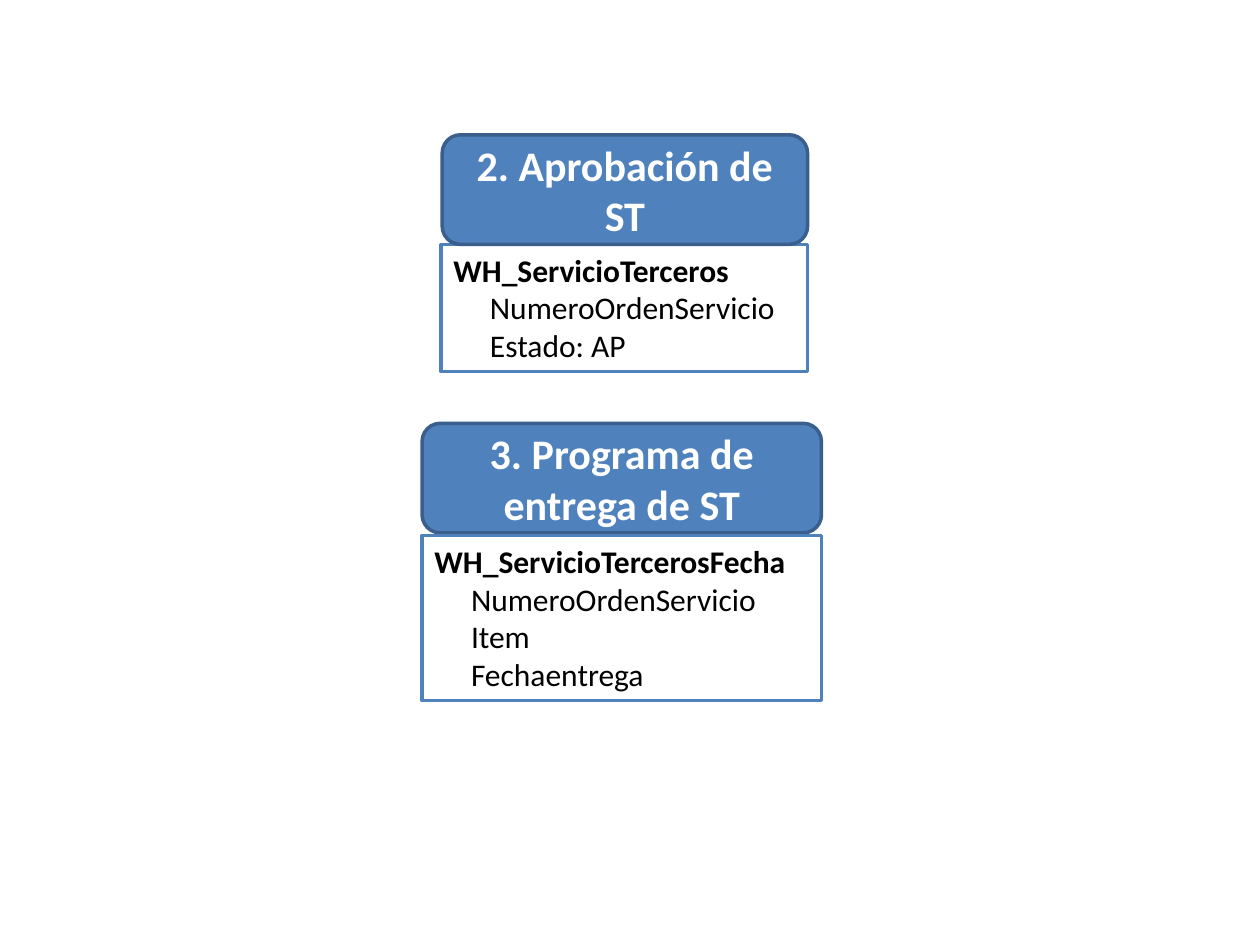
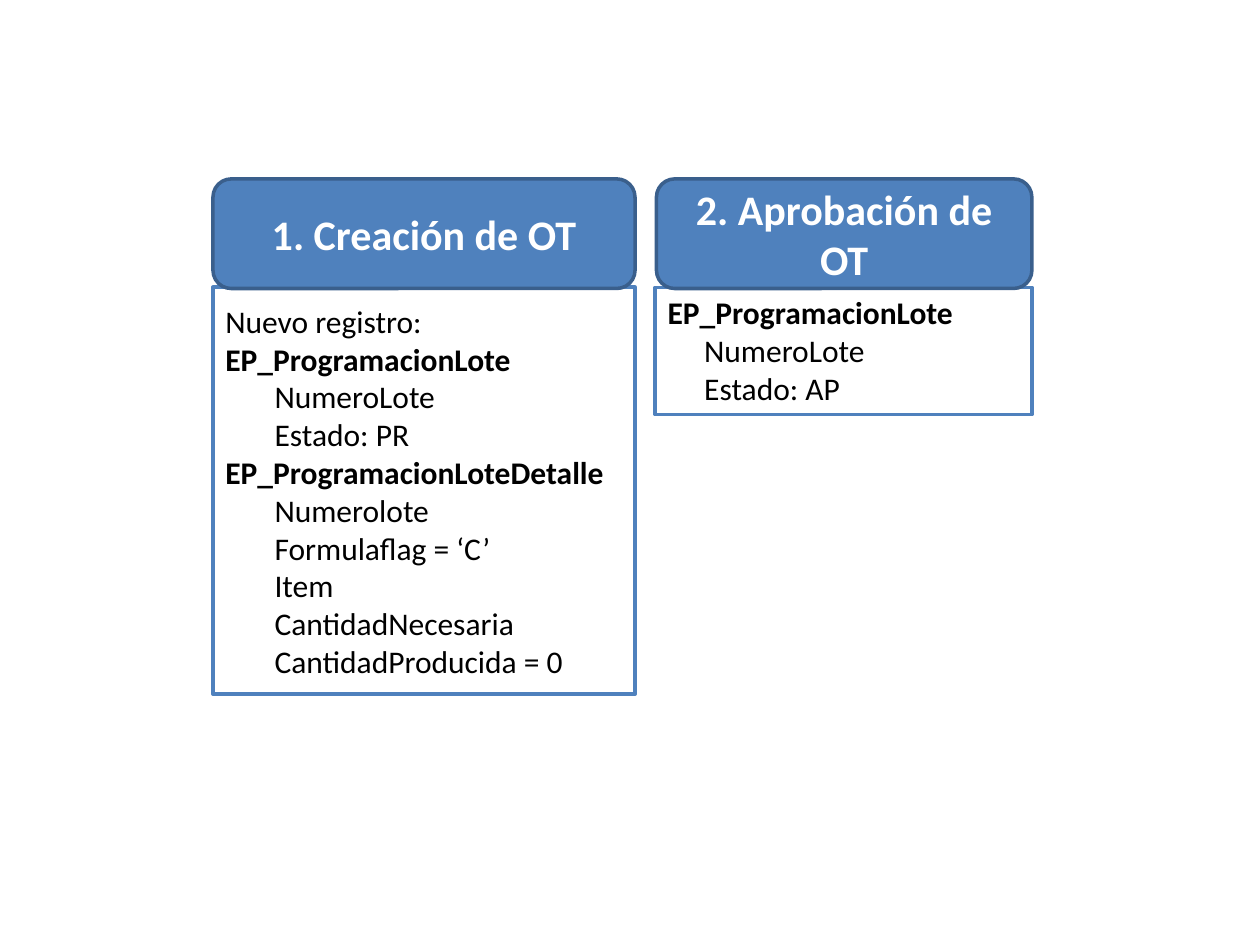
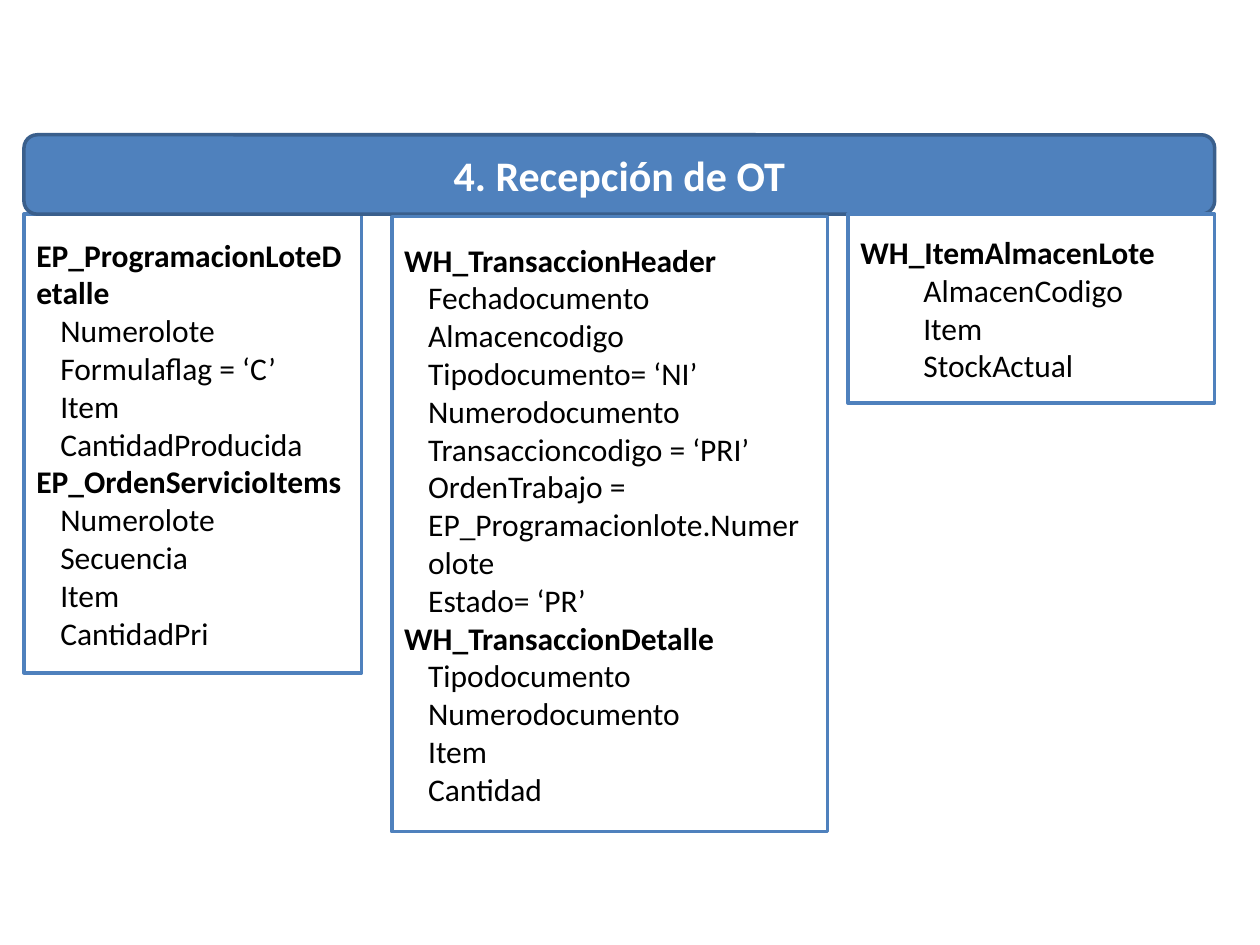
"""Three slides of process steps and the database tables they touch."""
from dataclasses import dataclass

from pptx import Presentation
from pptx.dml.color import RGBColor
from pptx.enum import shapes, text
from pptx.util import Inches, Pt


@dataclass(frozen=True)
class Theme:
    """Colours, font and type sizes shared by every slide."""
    blue: RGBColor = RGBColor(0x4F, 0x81, 0xBD)
    navy: RGBColor = RGBColor(0x3A, 0x5F, 0x8C)
    white: RGBColor = RGBColor(0xFF, 0xFF, 0xFF)
    black: RGBColor = RGBColor(0, 0, 0)
    font: str = "Calibri"
    title_size: Pt = Pt(24)
    body_size: Pt = Pt(18)
    line: Pt = Pt(2)


THEME = Theme()
TOP, MIDDLE = text.MSO_ANCHOR.TOP, text.MSO_ANCHOR.MIDDLE


def add_box(slide, kind, box, fill, line, anchor):
    """Add an outlined shape and return its text frame."""
    sp = slide.shapes.add_shape(kind, *map(Inches, box))
    sp.shadow.inherit = False
    sp.fill.solid()
    sp.fill.fore_color.rgb = fill
    sp.line.color.rgb = line
    sp.line.width = THEME.line
    tf = sp.text_frame
    for name, value in {"word_wrap": True, "vertical_anchor": anchor}.items():
        setattr(tf, name, value)
    return tf


def write(p, content, size, color, bold, align, indent=0):
    """Write one formatted paragraph."""
    if indent:
        pPr = p._p.get_or_add_pPr()
        for name, value in {"marL": Inches(indent), "indent": 0, "lvl": 1}.items():
            pPr.set(name, str(int(value)))
    p.alignment = align
    r = p.add_run()
    r.text = content
    for name, value in {"name": THEME.font, "size": size, "bold": bold}.items():
        setattr(r.font, name, value)
    r.font.color.rgb = color


def step_header(slide, box, title):
    """Draw the rounded blue title of a process step."""
    tf = add_box(slide, shapes.MSO_SHAPE.FLOWCHART_ALTERNATE_PROCESS, box,
                 THEME.blue, THEME.navy, MIDDLE)
    write(tf.paragraphs[0], title, THEME.title_size, THEME.white, True,
          text.PP_ALIGN.CENTER)


def table_card(slide, box, tables, indent, anchor=MIDDLE, intro=None):
    """List database tables in bold, each with its indented fields."""
    tf = add_box(slide, shapes.MSO_SHAPE.RECTANGLE, box,
                 THEME.white, THEME.blue, anchor)
    if anchor == TOP:
        tf.auto_size = text.MSO_AUTO_SIZE.SHAPE_TO_FIT_TEXT
    rows = [(intro, False, 0)] if intro else []
    for table, fields in tables.items():
        rows.append((table, True, 0))
        rows += [(field, False, indent) for field in fields]
    for i, (content, bold, inset) in enumerate(rows):
        p = tf.add_paragraph() if i else tf.paragraphs[0]
        write(p, content, THEME.body_size, THEME.black, bold,
              text.PP_ALIGN.LEFT, inset)


def service_slide(slide):
    """Stack the approval and delivery steps of a service order."""
    table_card(slide, (3.5, 1.94, 2.91, 1.01),
               {"WH_ServicioTerceros": ["NumeroOrdenServicio", "Estado: AP"]},
               0.29, TOP)
    step_header(slide, (3.51, 1.07, 2.9, 0.87), "2. Aprobación de ST")
    left, top, width, height = 3.35, 3.36, 3.17, 0.87
    step_header(slide, (left, top, width, height), "3. Programa de entrega de ST")
    table_card(slide, (left, top + height + 0.02, width, 1.31),
               {"WH_ServicioTercerosFecha":
                ["NumeroOrdenServicio", "Item", "Fechaentrega"]}, 0.29, TOP)


def work_order_slide(slide):
    """Set the creation and approval steps of a work order side by side."""
    top, height = 1.42, 0.87
    body_top = top + height - 0.01
    table_card(slide, (1.69, body_top, 3.35, 3.23),
               {"EP_ProgramacionLote": ["NumeroLote", "Estado: PR"],
                "EP_ProgramacionLoteDetalle":
                ["Numerolote", "Formulaflag = ‘C’", "Item",
                 "CantidadNecesaria", "CantidadProducida = 0"]},
               0.39, intro="Nuevo registro:")
    table_card(slide, (5.2, body_top, 2.99, 1.01),
               {"EP_ProgramacionLote": ["NumeroLote", "Estado: AP"]}, 0.29, TOP)
    step_header(slide, (1.69, top, 3.35, height), "1. Creación de OT")
    step_header(slide, (5.21, top, 2.98, height), "2. Aprobación de OT")


def reception_slide(slide):
    """Hang three table cards below the reception step."""
    left, top, width, height = 0.19, 1.07, 9.45, 0.63
    body_top = top + height
    table_card(slide, (left, body_top, 2.68, 3.64),
               {"EP_ProgramacionLoteDetalle":
                ["Numerolote", "Formulaflag = ‘C’", "Item", "CantidadProducida"],
                "EP_OrdenServicioItems":
                ["Numerolote", "Secuencia", "Item", "CantidadPri"]}, 0.19)
    step_header(slide, (left, top, width, height), "4. Recepción de OT")
    table_card(slide, (3.11, body_top + 0.02, 3.46, 4.88),
               {"WH_TransaccionHeader":
                ["Fechadocumento", "Almacencodigo", "Tipodocumento= ‘NI’",
                 "Numerodocumento", "Transaccioncodigo = ‘PRI’",
                 "OrdenTrabajo = EP_Programacionlote.Numerolote",
                 "Estado= ‘PR’"],
                "WH_TransaccionDetalle":
                ["Tipodocumento", "Numerodocumento", "Item", "Cantidad"]}, 0.19)
    table_card(slide, (left + width - 2.91, body_top, 2.91, 1.5),
               {"WH_ItemAlmacenLote": ["AlmacenCodigo", "Item", "StockActual"]},
               0.5)


def main():
    """Build the deck and save it."""
    prs = Presentation()
    prs.slide_width, prs.slide_height = Inches(10), Inches(7.5)
    for build in (service_slide, work_order_slide, reception_slide):
        build(prs.slides.add_slide(prs.slide_layouts[6]))
    prs.save("out.pptx")


if __name__ == "__main__":
    main()
